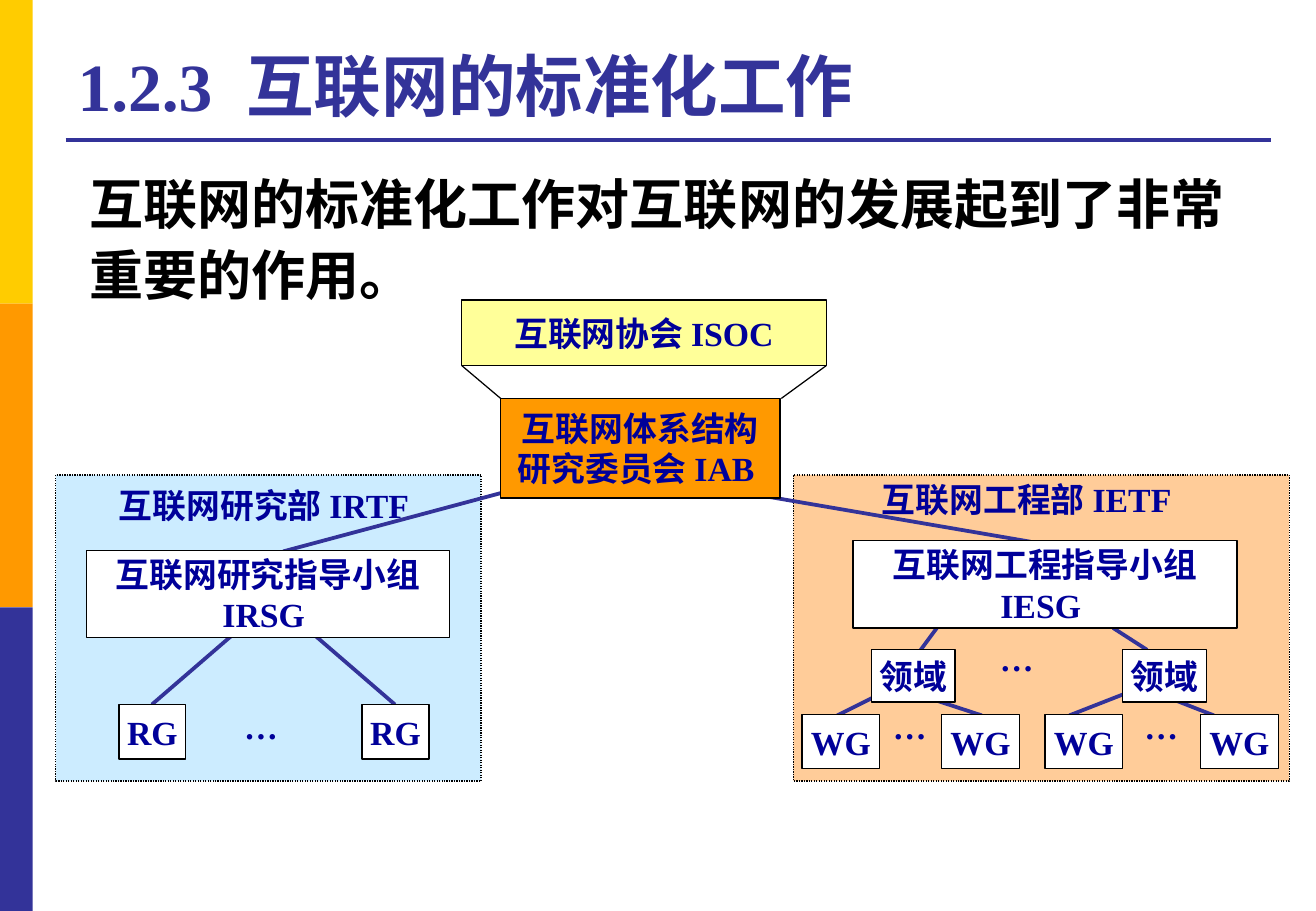
import pptx
import pptx.util
import pptx.dml.color
import pptx.enum.dml
import pptx.enum.shapes
import pptx.enum.text
import lxml.etree

PX = 9144  # EMU in one px, at 100 px to the inch
NAVY, INDIGO, BLACK, WHITE = "000099", "333399", "000000", "FFFFFF"
YELLOW, ORANGE = "FFCC00", "FF9900"
ALIGN = pptx.enum.text.PP_ALIGN
ANCHOR = pptx.enum.text.MSO_ANCHOR
DML = "http://schemas.openxmlformats.org/drawingml/2006/main"


def color(hex_text):
    return pptx.dml.color.RGBColor.from_string(hex_text)


def write(shape, text, size=20, ink=NAVY, wrap=False, spacing=1.0,
          align=ALIGN.LEFT, anchor=ANCHOR.TOP):
    frame = shape.text_frame
    frame.word_wrap = wrap
    frame.vertical_anchor = anchor
    frame.text = text
    for paragraph in frame.paragraphs:
        paragraph.alignment = align
        paragraph.line_spacing = spacing
        font_format = {"name": "Times New Roman", "size": pptx.util.Pt(size), "bold": True}
        for run in paragraph.runs:
            for key, value in font_format.items():
                setattr(run.font, key, value)
            run.font.color.rgb = color(ink)


deck = pptx.Presentation()
deck.slide_width, deck.slide_height = 1083 * PX, 750 * PX
slide = deck.slides.add_slide(deck.slide_layouts[6])
shapes = slide.shapes

# Side stripes, then the two department panels: left, top, width, height, fill, dotted border
areas = [(0, 250 * i, 27, 250, fill, False) for i, fill in enumerate([YELLOW, ORANGE, INDIGO])]
areas += [(46, 391, 350, 252, "CCECFF", True), (653, 391, 408, 252, "FFCC99", True)]
for left, top, width, height, fill, dotted in areas:
    area = shapes.add_shape(pptx.enum.shapes.MSO_SHAPE.RECTANGLE,
                            left * PX, top * PX, width * PX, height * PX)
    area.shadow.inherit = False
    area.fill.solid()
    area.fill.fore_color.rgb = color(fill)
    if dotted:
        area.line.color.rgb = color(BLACK)
        area.line.width = pptx.util.Pt(0.75)
        area.line.dash_style = pptx.enum.dml.MSO_LINE.ROUND_DOT
    else:
        area.line.fill.background()

# Title, body and labels: text, left, top, width, height, format
labels = [
    ("1.2.3  互联网的标准化工作", 54, 21, 991, 87,
     {"size": 40, "ink": INDIGO, "wrap": True, "anchor": ANCHOR.BOTTOM}),
    ("互联网的标准化工作对互联网的发展起到了非常重要的作用。", 64, 130, 966, 124,
     {"size": 32, "ink": BLACK, "wrap": True, "spacing": 1.1}),
    ("互联网研究部 IRTF", 88, 394, 267, 44, {}),
    ("互联网工程部 IETF", 716, 389, 266, 44, {}),
]
labels += [("…", left, top, 48, 44, {})
           for left, top in [(813, 520), (191, 576), (725, 576), (932, 576)]]
for text, left, top, width, height, text_format in labels:
    label = shapes.add_textbox(left * PX, top * PX, width * PX, height * PX)
    write(label, text, **text_format)

# Title rule and links: start x, start y, end x, end y
links = [
    (54, 115, 1046, 115),
    (233, 454, 412, 406), (848, 446, 580, 400),  # IAB to its steering groups
    (198, 517, 125, 580), (252, 517, 325, 580),  # IRSG to RG
    (771, 517, 754, 540), (916, 517, 944, 535),  # IESG to areas
    (725, 571, 689, 589), (753, 571, 808, 589),  # areas to WG
    (926, 571, 880, 589), (953, 571, 999, 589),
]
supports = [(380, 301, 412, 328), (680, 301, 643, 328)]  # ISOC to IAB
for group, ink, weight in [(links, INDIGO, 2.25), (supports, BLACK, 0.75)]:
    for ends in group:
        link = shapes.add_connector(pptx.enum.shapes.MSO_CONNECTOR.STRAIGHT,
                                    *[value * PX for value in ends])
        link.line.color.rgb = color(ink)
        link.line.width = pptx.util.Pt(weight)
        lxml.etree.SubElement(link._element.spPr, f"{{{DML}}}effectLst")

# Organisation boxes: text, left, top, width, height, fill
boxes = [
    ("互联网协会 ISOC", 380, 247, 300, 54, "FFFF99"),
    ("互联网体系结构\n研究委员会 IAB ", 412, 328, 230, 82, ORANGE),
    ("互联网研究指导小组\nIRSG ", 71, 453, 299, 72, WHITE),
    ("互联网工程指导小组\nIESG ", 702, 445, 316, 72, WHITE),
]
boxes += [("RG", left, 580, 55, 45, WHITE) for left in (98, 298)]
boxes += [("领域", left, 535, 69, 43, WHITE) for left in (717, 924)]
boxes += [("WG", left, 588, 64, 45, WHITE) for left in (660, 775, 860, 988)]
for text, left, top, width, height, fill in boxes:
    box = shapes.add_shape(pptx.enum.shapes.MSO_SHAPE.RECTANGLE,
                           left * PX, top * PX, width * PX, height * PX)
    box.shadow.inherit = False
    box.fill.solid()
    box.fill.fore_color.rgb = color(fill)
    box.line.color.rgb = color(BLACK)
    box.line.width = pptx.util.Pt(0.75)
    write(box, text, align=ALIGN.CENTER, anchor=ANCHOR.MIDDLE)

deck.save("out.pptx")
